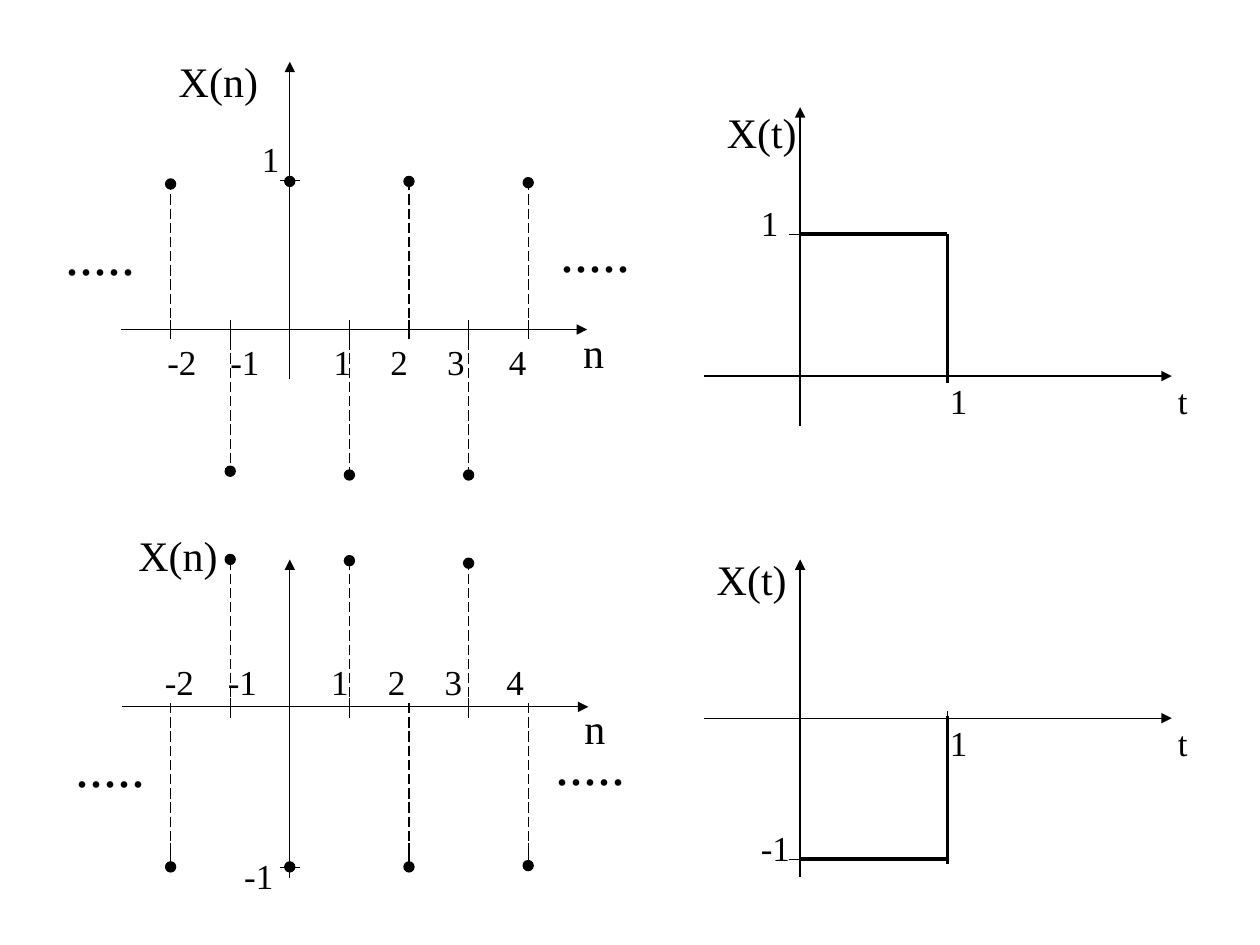
from lxml import etree
from pptx import Presentation
from pptx.dml.color import RGBColor
from pptx.enum import dml, shapes, text
from pptx.oxml import ns
from pptx.util import Inches, Pt

BLACK = RGBColor(0, 0, 0)
FONT = "Times New Roman"
THIN, THICK = 0.75, 2.25
DOT = 0.08
ORIGIN_X, STEP = 2.3, 0.473
SAMPLES = (-2, -1, 1, 2, 3, 4)
LABEL_LEFTS = {-2: 1.23, -1: 1.73, 1: 2.55, 2: 3.0, 3: 3.45, 4: 3.94}

# Vertical spans are (top, bottom); "even" and "odd" refer to the sample index.
DISCRETE_PLOTS = [
    {
        "axis_x": (0.96, 4.66, 2.615), "axis_y": (3.01, 0.49),
        "level": 1.435, "labels": (0, 2.65),
        "even": {"tick": (2.54, 2.69), "stem": (1.43, 2.61)},
        "odd": {"tick": (2.54, 2.69), "stem": (2.58, 3.76)},
        "dots": {-2: 1.46, -1: 3.74, 0: 1.44, 1: 3.77, 2: 1.44, 3: 3.77, 4: 1.45},
        "captions": [("1", 1.98, 1.04, 20), ("n", 4.53, 2.54, 24), ("X(n)", 1.32, 0.39, 24),
                     (".....", 4.35, 1.67, 32), (".....", 0.42, 1.69, 32)],
    },
    {
        "axis_x": (0.97, 4.67, 5.61), "axis_y": (6.97, 4.44),
        "level": 6.885, "labels": (-0.02, 5.195),
        "even": {"tick": (6.69, 6.84), "stem": (5.58, 6.76)},
        "odd": {"tick": (5.54, 5.7), "stem": (4.44, 5.62)},
        "dots": {-2: 6.88, -1: 4.44, 0: 6.88, 1: 4.45, 2: 6.88, 3: 4.47, 4: 6.87},
        "captions": [("-1", 1.84, 6.73, 20), ("n", 4.54, 5.53, 24), ("X(n)", 1.0, 4.15, 24),
                     (".....", 4.31, 5.74, 32), (".....", 0.5, 5.76, 32)],
    },
]

CONTINUOUS_PLOTS = [
    {
        "axis": 2.985, "axis_y": (3.38, 0.85), "tick": (2.93, 3.04),
        "level": 1.86, "edge": (1.86, 3.04),
        "captions": [("1", 7.44, 2.96, 20), ("1", 5.94, 1.55, 20),
                     ("t", 9.25, 2.96, 20), ("X(t)", 5.67, 0.8, 24)],
    },
    {
        "axis": 5.7, "axis_y": (6.96, 4.44), "tick": (5.64, 5.76),
        "level": 6.82, "edge": (5.68, 6.86),
        "captions": [("1", 7.44, 5.68, 20), ("-1", 5.94, 6.51, 20),
                     ("t", 9.25, 5.68, 20), ("X(t)", 5.59, 4.34, 24)],
    },
]

CAPTION_SIZES = {"n": (0.36, 0.5), "X(n)": (0.83, 0.5), "X(t)": (0.87, 0.5), ".....": (1.29, 0.64)}
LABEL_SIZE = (0.47, 0.44)
UNWRAPPED = ("n", "X(n)")


def add_line(slide, x1, y1, x2, y2, width=THIN, dashed=False, arrow=False):
    line = slide.shapes.add_connector(
        shapes.MSO_CONNECTOR.STRAIGHT, Inches(x1), Inches(y1), Inches(x2), Inches(y2))
    line.line.color.rgb = BLACK
    line.line.width = Pt(width)
    if dashed:
        line.line.dash_style = dml.MSO_LINE.LONG_DASH
    properties = line._element.spPr
    if arrow:
        etree.SubElement(properties.find(ns.qn("a:ln")), ns.qn("a:tailEnd"), type="triangle")
    etree.SubElement(properties, ns.qn("a:effectLst"))


def add_dot(slide, x, y):
    dot = slide.shapes.add_shape(
        shapes.MSO_SHAPE.OVAL, Inches(x - DOT / 2), Inches(y - DOT / 2), Inches(DOT), Inches(DOT))
    dot.shadow.inherit = False
    dot.fill.solid()
    dot.fill.fore_color.rgb = BLACK
    dot.line.color.rgb = BLACK
    dot.line.width = Pt(THIN)


def add_caption(slide, wording, left, top, size):
    width, height = CAPTION_SIZES.get(wording, LABEL_SIZE)
    box = slide.shapes.add_textbox(Inches(left), Inches(top), Inches(width), Inches(height))
    frame = box.text_frame
    frame.word_wrap = wording not in UNWRAPPED
    frame.auto_size = text.MSO_AUTO_SIZE.SHAPE_TO_FIT_TEXT
    paragraph = frame.paragraphs[0]
    paragraph.text = wording
    for name, value in {"name": FONT, "size": Pt(size)}.items():
        setattr(paragraph.font, name, value)
    paragraph.font.color.rgb = BLACK


def add_discrete_plot(slide, plot):
    left, right, axis = plot["axis_x"]
    bottom, top = plot["axis_y"]
    add_line(slide, ORIGIN_X, bottom, ORIGIN_X, top, arrow=True)
    add_line(slide, left, axis, right, axis, arrow=True)
    add_line(slide, ORIGIN_X - 0.08, plot["level"], ORIGIN_X + 0.08, plot["level"])
    shift, label_top = plot["labels"]
    for n in SAMPLES:
        x = ORIGIN_X + n * STEP
        spans = plot["odd" if n % 2 else "even"]
        for part, (start, end) in spans.items():
            add_line(slide, x, start, x, end, dashed=part == "stem")
        add_caption(slide, str(n), LABEL_LEFTS[n] + shift, label_top, 20)
    for n, y in plot["dots"].items():
        add_dot(slide, ORIGIN_X + n * STEP, y)


def add_continuous_plot(slide, plot):
    zero, one, level = 6.35, 7.52, plot["level"]
    bottom, top = plot["axis_y"]
    add_line(slide, zero, bottom, zero, top, arrow=True)
    add_line(slide, 5.59, plot["axis"], 9.3, plot["axis"], arrow=True)
    add_line(slide, 6.26, level, 6.42, level)
    add_line(slide, zero, level, one, level, width=THICK)
    for part, width in (("tick", THIN), ("edge", THICK)):
        start, end = plot[part]
        add_line(slide, one, start, one, end, width=width)


def main():
    presentation = Presentation()
    presentation.slide_width, presentation.slide_height = Inches(10), Inches(7.5)
    slide = presentation.slides.add_slide(presentation.slide_layouts[6])
    for plots, add_plot in ((DISCRETE_PLOTS, add_discrete_plot),
                            (CONTINUOUS_PLOTS, add_continuous_plot)):
        for plot in plots:
            add_plot(slide, plot)
            for caption in plot["captions"]:
                add_caption(slide, *caption)
    presentation.save("out.pptx")


if __name__ == "__main__":
    main()
